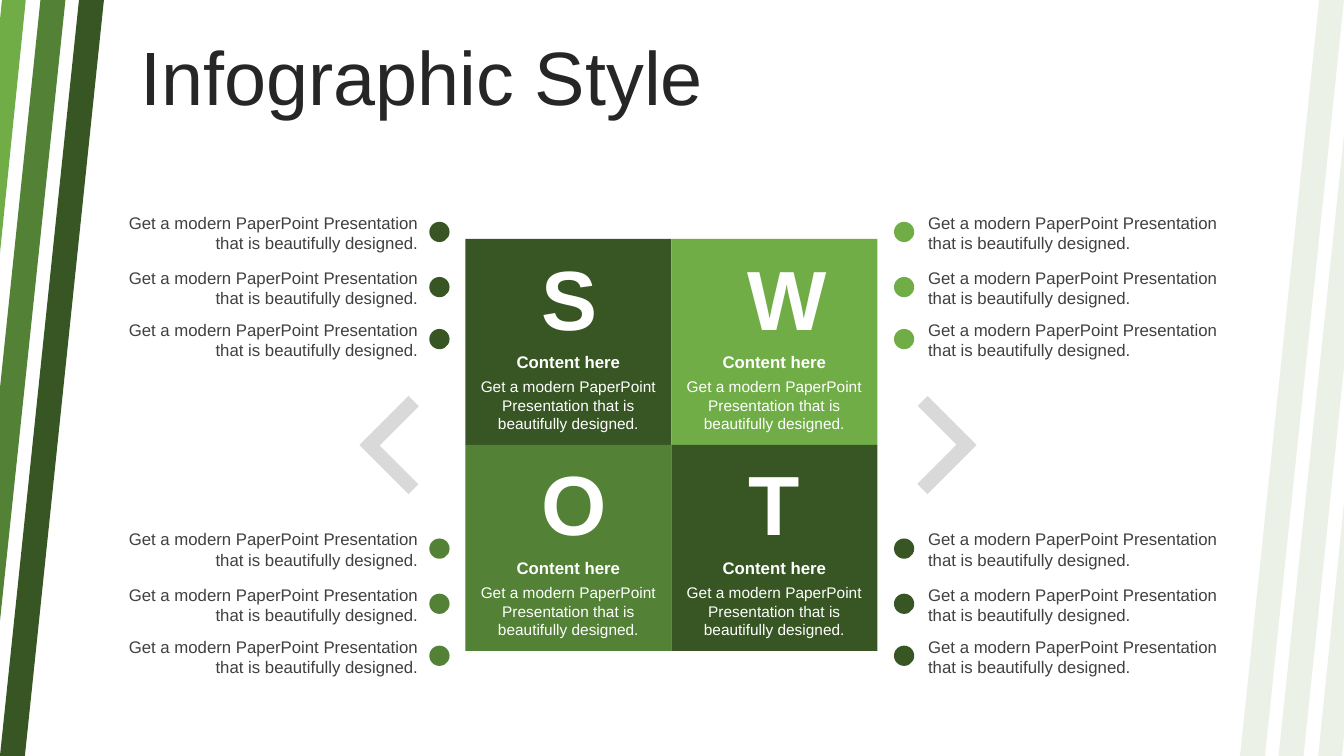
from typing import NamedTuple

import pptx
import pptx.dml.color
import pptx.enum.shapes
import pptx.enum.text
import pptx.util
from lxml import etree
from pptx.oxml.ns import qn

Cm = pptx.util.Cm
SHAPE = pptx.enum.shapes.MSO_SHAPE
ALIGN = pptx.enum.text.PP_ALIGN
ANCHOR = pptx.enum.text.MSO_ANCHOR
AUTO = pptx.enum.text.MSO_AUTO_SIZE

WIDTH, HEIGHT = 33.87, 19.05
DARK, MEDIUM, LIGHT = "375623", "538135", "70AD47"
WHITE, GREY, TEXT, TITLE = "FFFFFF", "D9D9D9", "404040", "262626"
FONT = "Arial"
SENTENCE = "Get a modern PaperPoint Presentation that is beautifully designed."


class Box(NamedTuple):
    left: float
    top: float
    width: float
    height: float


class Tile(NamedTuple):
    letter: str
    column: int
    row: int
    color: str


class BulletColumn(NamedTuple):
    dot_left: float
    text_left: float
    text_width: float
    align: ALIGN
    colors: tuple[str, str]


class Chevron(NamedTuple):
    left: float
    rotation: float


TILES = [
    Tile("S", 0, 0, DARK),
    Tile("W", 1, 0, LIGHT),
    Tile("O", 0, 1, MEDIUM),
    Tile("T", 1, 1, DARK),
]
TILE_LEFT, TILE_TOP, TILE_SIDE = 11.73, 6.02, 5.19

BULLET_COLUMNS = [
    BulletColumn(10.82, 2.18, 8.61, ALIGN.RIGHT, (DARK, MEDIUM)),
    BulletColumn(22.53, 23.14, 8.56, ALIGN.LEFT, (LIGHT, DARK)),
]
BULLET_TOPS = [5.23, 6.62, 7.93]
BULLET_GROUP_STEP = 7.98
DOT_SIZE, DOT_DROP = 0.51, 0.36

CHEVRONS = [Chevron(9.42, 45), Chevron(22.5, 225)]
STRIPES = [
    (MEDIUM, [(1.02, 0), (1.65, 0), (0, 15.65), (0, 9.78)]),
    (LIGHT, [(0.05, 0), (0.65, 0), (0, 6.38), (0, 0.51)]),
]


def rgb(color: str) -> pptx.dml.color.RGBColor:
    return pptx.dml.color.RGBColor.from_string(color)


def paint(sp, color: str) -> None:
    sp.shadow.inherit = False
    sp.fill.solid()
    sp.fill.fore_color.rgb = rgb(color)
    sp.line.fill.background()


def add_shape(s, kind: SHAPE, box: Box, color: str, adjustments=()):
    sp = s.shapes.add_shape(kind, *map(Cm, box))
    for i, value in enumerate(adjustments):
        sp.adjustments[i] = value
    paint(sp, color)
    return sp


def format_text(tf, text: str, size: float, color: str, align: ALIGN, bold: bool = False):
    tf.text = text
    p = tf.paragraphs[0]
    p.alignment = align
    font = p.runs[0].font
    font.name, font.size, font.bold = FONT, pptx.util.Pt(size), bold
    font.color.rgb = rgb(color)
    return p


def add_text(s, box: Box, text: str, size: float, color: str, align: ALIGN, bold: bool = False):
    tf = s.shapes.add_textbox(*map(Cm, box)).text_frame
    tf.word_wrap = True
    tf.auto_size = AUTO.SHAPE_TO_FIT_TEXT
    format_text(tf, text, size, color, align, bold)
    return tf


def add_stripes(s) -> list:
    """Draw the three slanted bands at the left edge."""
    stripes = [add_shape(s, SHAPE.PARALLELOGRAM, Box(0, 0, 2.62, HEIGHT), DARK, [0.76])]
    for color, points in STRIPES:
        corners = [(Cm(x), Cm(y)) for x, y in points]
        builder = s.shapes.build_freeform(*corners[0])
        builder.add_line_segments(corners[1:], close=True)
        sp = builder.convert_to_shape()
        paint(sp, color)
        stripes.append(sp)
    return stripes


def turn_to_right_edge(sp) -> None:
    """Turn a left band half round the slide centre and make it pale."""
    sp.left = Cm(WIDTH) - sp.left - sp.width
    sp.top = Cm(HEIGHT) - sp.top - sp.height
    sp.rotation = 180
    sp.fill.fore_color.rgb = rgb(MEDIUM)
    clr = sp.element.spPr.find(qn("a:solidFill"))[0]
    etree.SubElement(clr, qn("a:alpha"), val="11000")


def add_title(s, text: str) -> None:
    title = s.shapes.title
    title.left, title.top, title.width, title.height = map(Cm, Box(3.28, 1.04, 29.77, 2.01))
    tf = title.text_frame
    tf.auto_size = AUTO.NONE
    tf.vertical_anchor = ANCHOR.MIDDLE
    p = format_text(tf, text, 54, TITLE, ALIGN.LEFT)
    p.line_spacing = 0.9


def add_tile(s, tile: Tile) -> None:
    left = TILE_LEFT + tile.column * TILE_SIDE
    top = TILE_TOP + tile.row * TILE_SIDE
    add_shape(s, SHAPE.RECTANGLE, Box(left, top, TILE_SIDE, TILE_SIDE), tile.color)
    tf = add_text(s, Box(left + 1.66, top + 0.18, 1.88, 2.57), tile.letter, 60, WHITE, ALIGN.CENTER, True)
    tf.margin_top = tf.margin_bottom = 0
    tf = add_text(s, Box(left, top + 2.71, TILE_SIDE, 0.77), "Content here", 12, WHITE, ALIGN.CENTER, True)
    tf.vertical_anchor = ANCHOR.MIDDLE
    add_text(s, Box(left, top + 3.37, TILE_SIDE, 1.68), SENTENCE, 11, WHITE, ALIGN.CENTER)


def add_bullets(s, column: BulletColumn) -> None:
    for group, color in enumerate(column.colors):
        for first_top in BULLET_TOPS:
            top = first_top + group * BULLET_GROUP_STEP
            dot = Box(column.dot_left, top + DOT_DROP, DOT_SIZE, DOT_SIZE)
            add_shape(s, SHAPE.FLOWCHART_CONNECTOR, dot, color)
            box = Box(column.text_left, top, column.text_width, 1.27)
            add_text(s, box, SENTENCE, 12, TEXT, column.align)


def main() -> None:
    prs = pptx.Presentation()
    prs.slide_width, prs.slide_height = Cm(WIDTH), Cm(HEIGHT)
    s = prs.slides.add_slide(prs.slide_layouts.get_by_name("Title Only"))

    # Edge bands and title
    add_stripes(s)
    for sp in add_stripes(s):
        turn_to_right_edge(sp)
    add_title(s, "Infographic Style")

    # SWOT square
    for tile in TILES:
        add_tile(s, tile)

    # Bullet lists on both sides
    for column in BULLET_COLUMNS:
        add_bullets(s, column)

    # Chevrons pointing outwards
    for chevron in CHEVRONS:
        box = Box(chevron.left, 10.34, 1.75, 1.75)
        add_shape(s, SHAPE.CORNER, box, GREY, [0.2, 0.21]).rotation = chevron.rotation

    prs.save("out.pptx")


if __name__ == "__main__":
    main()
